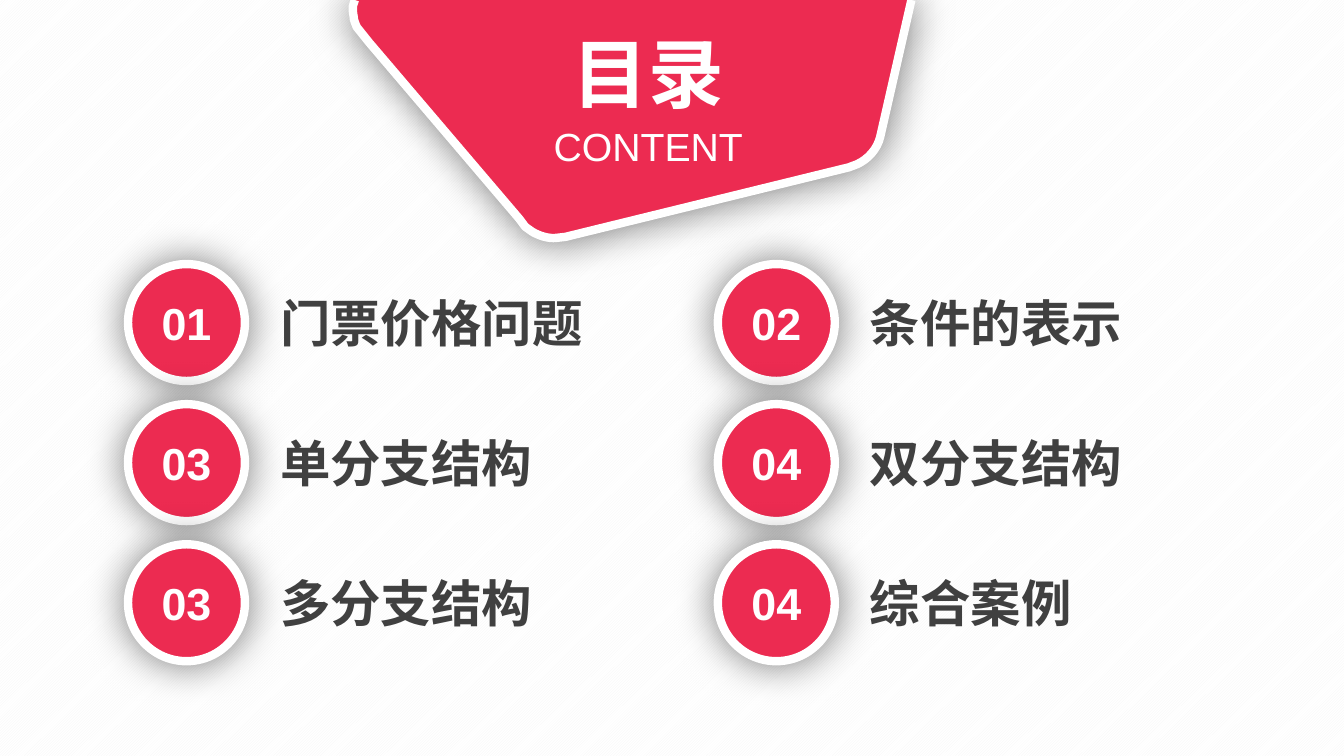
import pptx
import pptx.util
import pptx.dml.color
import pptx.enum.dml
import pptx.enum.shapes
import pptx.enum.text
from lxml import etree
from pptx.util import Inches

RED = pptx.dml.color.RGBColor(0xEC, 0x2B, 0x51)
WHITE = pptx.dml.color.RGBColor(0xFF, 0xFF, 0xFF)
STRIPE = pptx.dml.color.RGBColor(0xF5, 0xF5, 0xF5)
DARK = pptx.dml.color.RGBColor(0x40, 0x40, 0x40)
CHINESE_FONT = "Noto Sans CJK SC"
DRAWING = "{http://schemas.openxmlformats.org/drawingml/2006/main}"


def style_badge(shape):
    """Red fill, thick white outline and a soft shadow on all sides."""
    shape.fill.solid()
    shape.fill.fore_color.rgb = RED
    shape.line.color.rgb = WHITE
    shape.line.width = pptx.util.Pt(6)
    shape.shadow.inherit = False
    effects = shape._element.spPr.find(DRAWING + "effectLst")
    shadow = etree.SubElement(effects, DRAWING + "outerShdw", blurRad=str(pptx.util.Pt(29)),
                              dist="0", dir="0", algn="ctr", rotWithShape="0")
    color = etree.SubElement(shadow, DRAWING + "srgbClr", val="000000")
    etree.SubElement(color, DRAWING + "alpha", val="52000")


def write_text(shape, text, size, color, font, bold=True, centered=True):
    frame = shape.text_frame
    frame.word_wrap = False
    paragraph = frame.paragraphs[0]
    if centered:
        paragraph.alignment = pptx.enum.text.PP_ALIGN.CENTER
    run = paragraph.add_run()
    run.text = text
    run.font.size = pptx.util.Pt(size)
    run.font.bold = bold
    run.font.color.rgb = color
    run.font.name = font
    etree.SubElement(run.font._element, DRAWING + "ea", typeface=CHINESE_FONT)


presentation = pptx.Presentation()
presentation.slide_width = Inches(13.33)
presentation.slide_height = Inches(7.5)
slide = presentation.slides.add_slide(presentation.slide_layouts[6])

background = slide.background.fill
background.patterned()
background.pattern = pptx.enum.dml.MSO_PATTERN.LIGHT_UPWARD_DIAGONAL
background.fore_color.rgb = STRIPE
background.back_color.rgb = WHITE

# Banner outline: a pair is a line end, three pairs are a Bézier curve
banner_segments = [
    [(8.73, 1.36)],
    [(8.70, 1.48), (8.61, 1.58), (8.50, 1.63)],
    [(8.42, 1.66)],
    [(5.61, 2.35)],
    [(5.52, 2.36)],
    [(5.44, 2.37), (5.35, 2.34), (5.28, 2.30)],
    [(5.21, 2.25)],
    [(5.15, 2.17)],
    [(3.66, 0.42)],
    [(3.54, 0.27)],
    [(3.53, 0.25), (3.52, 0.22), (3.51, 0.19)],
    [(3.51, 0.16), (3.50, 0.13), (3.50, 0.10)],
    [(3.50, 0.06)],
    [(3.52, 0)],
]
CURVE_STEPS = 8
banner_points = [(9.04, 0)]
for segment in banner_segments:
    if len(segment) == 1:
        banner_points += segment
        continue
    controls = [banner_points[-1]] + segment
    for step in range(1, CURVE_STEPS + 1):
        t = step / CURVE_STEPS
        weights = [(1 - t) ** 3, 3 * t * (1 - t) ** 2, 3 * t ** 2 * (1 - t), t ** 3]
        banner_points.append(tuple(
            sum(weight * point[axis] for weight, point in zip(weights, controls))
            for axis in (0, 1)))

builder = slide.shapes.build_freeform(
    Inches(banner_points[0][0]), Inches(banner_points[0][1]))
builder.add_line_segments([(Inches(x), Inches(y)) for x, y in banner_points[1:]], close=False)
style_badge(builder.convert_to_shape())

for text, left, top, width, height, size, bold in [
    ("CONTENT", 5.38, 1.16, 2.1, 0.57, 28, False),
    ("目录", 5.57, 0.22, 1.72, 1.01, 54, True),
]:
    heading = slide.shapes.add_textbox(Inches(left), Inches(top), Inches(width), Inches(height))
    heading.text_frame.auto_size = pptx.enum.text.MSO_AUTO_SIZE.SHAPE_TO_FIT_TEXT
    write_text(heading, text, size, WHITE, "Arial", bold)

topics = [
    ("01", "门票价格问题"), ("02", "条件的表示"),
    ("03", "单分支结构"), ("04", "双分支结构"),
    ("03", "多分支结构"), ("04", "综合案例"),
]
DIAMETER = 1.16
for index, (number, title) in enumerate(topics):
    row, column = divmod(index, 2)
    left = 1.27 + 5.85 * column
    top = 2.62 + 1.39 * row
    entry = slide.shapes.add_group_shape()

    circle = entry.shapes.add_shape(
        pptx.enum.shapes.MSO_SHAPE.OVAL,
        Inches(left), Inches(top), Inches(DIAMETER), Inches(DIAMETER))
    style_badge(circle)
    circle.text_frame.vertical_anchor = pptx.enum.text.MSO_ANCHOR.MIDDLE
    write_text(circle, number, 32, WHITE, "Arial")

    label = entry.shapes.add_textbox(
        Inches(left + 1.41), Inches(top + 0.23), Inches(0.2 + 0.505 * len(title)), Inches(0.71))
    label.text_frame.auto_size = pptx.enum.text.MSO_AUTO_SIZE.SHAPE_TO_FIT_TEXT
    write_text(label, title, 36, DARK, CHINESE_FONT, centered=False)

presentation.save("out.pptx")
